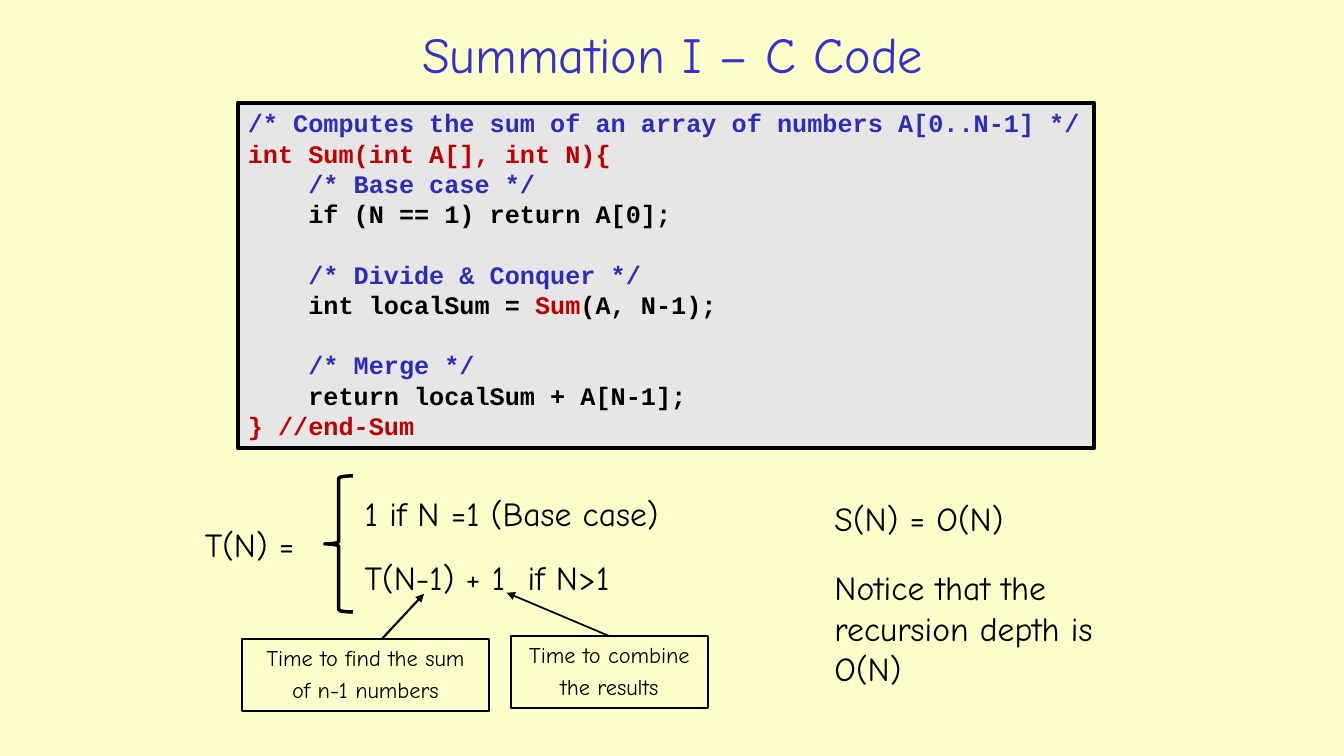
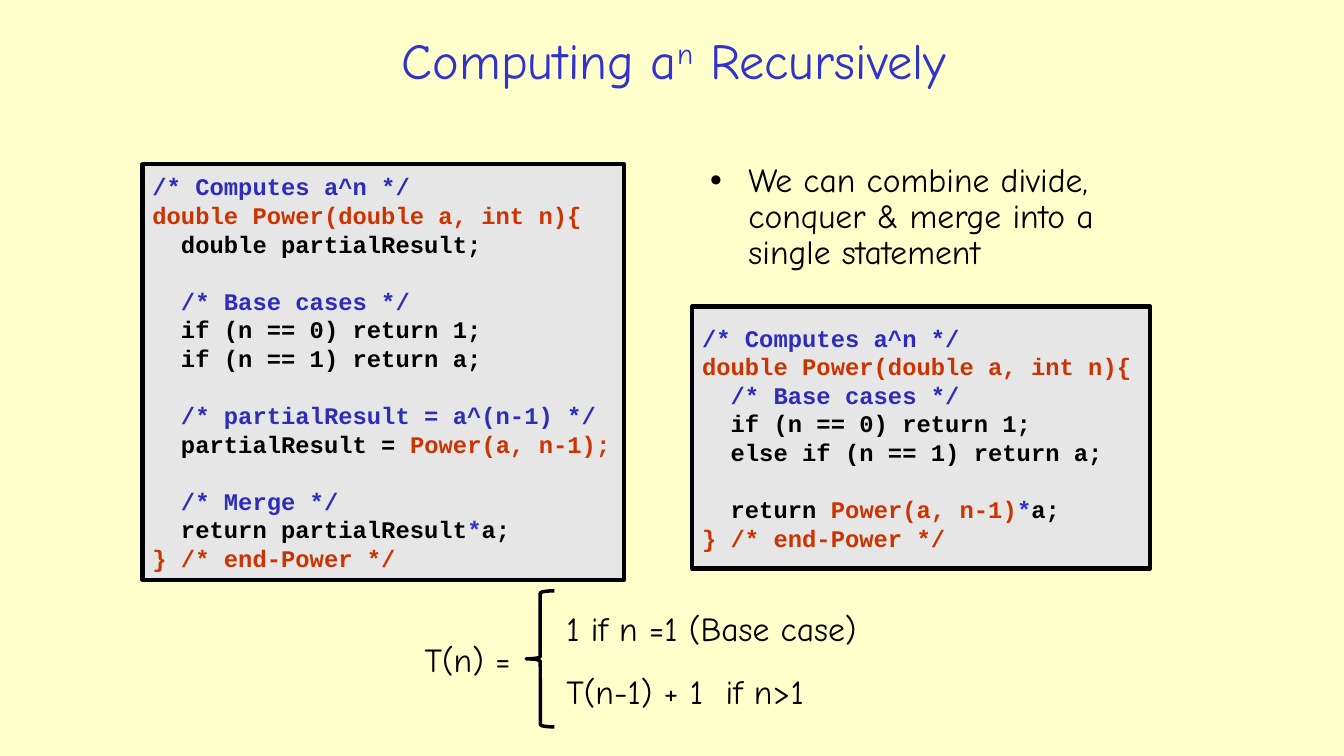
from pptx import Presentation
from pptx.dml.color import RGBColor
from pptx.enum.shapes import MSO_CONNECTOR, MSO_SHAPE
from pptx.enum.text import MSO_ANCHOR, PP_ALIGN
from pptx.oxml.ns import qn
from pptx.util import Emu, Inches, Pt
from lxml import etree

CREAM = RGBColor(0xFF, 0xFF, 0xCC)
GRAY = RGBColor(0xE6, 0xE6, 0xE6)
BLACK = RGBColor(0, 0, 0)
BLUE = RGBColor(0x33, 0x33, 0xCC)
NAVY = RGBColor(0x2D, 0x2D, 0xB9)
RED = RGBColor(0xC0, 0, 0)
RUST = RGBColor(0xCC, 0x33, 0)
BODY = "Comic Neue"
MONO = "Courier New"
LEFT, CENTER = PP_ALIGN.LEFT, PP_ALIGN.CENTER
TOP, MIDDLE = MSO_ANCHOR.TOP, MSO_ANCHOR.MIDDLE
RECT, BRACE = MSO_SHAPE.RECTANGLE, MSO_SHAPE.LEFT_BRACE
STRAIGHT = MSO_CONNECTOR.STRAIGHT
TITLE_ONLY = 5
LINE = 1.2


def write(frame, lines, size=24, font=BODY, color=BLACK, bold=False,
          align=LEFT, anchor=TOP, gap=0, pitch=None, bullet=False):
    frame.word_wrap = True
    frame.vertical_anchor = anchor
    para, space = None, 0
    for line in lines:
        if not line:
            space = size * LINE
            continue
        if para is None:
            para = frame.paragraphs[0]
        else:
            para = frame.add_paragraph()
            para.space_before = Pt(space or gap)
        space = 0
        para.alignment = align
        if pitch:
            para.line_spacing = pitch
        if bullet:
            props = para._p.get_or_add_pPr()
            props.set("marL", str(Inches(0.38)))
            props.set("indent", str(-Inches(0.38)))
            face = etree.SubElement(props, qn("a:buFont"))
            face.set("typeface", "Arial")
            etree.SubElement(props, qn("a:buChar")).set("char", "•")
        for part in [(line, color)] if isinstance(line, str) else line:
            run = para.add_run()
            run.text = part[0]
            run.font.size = Pt(size)
            run.font.name = font
            run.font.bold = bold
            run.font.color.rgb = part[1]
            if len(part) > 2:
                run._r.get_or_add_rPr().set("baseline", str(part[2] * 1000))


class Deck:
    def __init__(self):
        self.prs = Presentation()
        self.prs.slide_width = Inches(13.333)
        self.prs.slide_height = Inches(7.5)
        back = self.prs.slide_master.background.fill
        back.solid()
        back.fore_color.rgb = CREAM

    def share(self, *nums):
        sides = (self.prs.slide_width, self.prs.slide_height)
        return [Emu(round(num * sides[i % 2] / 100)) for i, num in enumerate(nums)]

    def slide(self, title, *place):
        layout = self.prs.slide_layouts[TITLE_ONLY]
        self.page = self.prs.slides.add_slide(layout)
        head = self.page.shapes.title
        head.left, head.top, head.width, head.height = self.share(*place)
        write(head.text_frame, [title], size=36, color=BLUE,
              align=CENTER, anchor=MIDDLE)

    def text(self, lines, *place, **style):
        box = self.page.shapes.add_textbox(*self.share(*place))
        write(box.text_frame, lines, **style)

    def shape(self, kind, place, width, fill=None):
        item = self.page.shapes.add_shape(kind, *self.share(*place))
        item.shadow.inherit = False
        if fill is None:
            item.fill.background()
        else:
            item.fill.solid()
            item.fill.fore_color.rgb = fill
        item.line.color.rgb = BLACK
        item.line.width = Pt(width)
        return item

    def code(self, lines, *place, size, anchor=MIDDLE):
        panel = self.shape(RECT, place, 3, GRAY)
        write(panel.text_frame, lines, size=size, font=MONO, bold=True, anchor=anchor)

    def label(self, lines, *place, width):
        box = self.shape(RECT, place, width)
        write(box.text_frame, lines, size=16, align=CENTER, gap=3.8)
        return box

    def arrow(self, *ends, width, start=None):
        link = self.page.shapes.add_connector(STRAIGHT, *self.share(*ends))
        if start is not None:
            link.begin_connect(start, 0)
        link.line.color.rgb = BLACK
        link.line.width = Pt(width)
        tip = etree.SubElement(link.line._get_or_add_ln(), qn("a:tailEnd"))
        tip.set("type", "triangle")
        etree.SubElement(link._element.spPr, qn("a:effectLst"))

    def cases(self, var, x, y, lead):
        brace = self.shape(BRACE, (x, y, 2.1, 18), 2.5)
        brace.adjustments[0] = 0.08
        brace.adjustments[1] = 0.5
        self.text([f"T({var}) ="], x + 0.65 - lead, y + 5.7, lead, 7.2)
        rows = (f"1 if {var} =1 (Base case)", f"T({var}-1) + 1  if {var}>1")
        for i, row in enumerate(rows):
            self.text([row], x + 2.25, y + 1.6 + 8.4 * i, 26.5, 7.2)


def note(text, pad=""):
    return [(pad + text, NAVY)]


def sum_slide(deck):
    deck.slide("Summation I – C Code", 13.8, 2, 72.5, 10.1)
    pad = "    "
    deck.code([
        note("/* Computes the sum of an array of numbers A[0..N-1] */"),
        [("int Sum(int A[], int N){", RED)],
        note("/* Base case */", pad),
        "    if (N == 1) return A[0];",
        "",
        note("/* Divide & Conquer */", pad),
        [("    int localSum = ", BLACK), ("Sum", RED), ("(A, N-1);", BLACK)],
        "",
        note("/* Merge */", pad),
        "    return localSum + A[N-1];",
        [("} //end-Sum", RED)],
    ], 17.7, 13.6, 63.7, 45.7, size=18, anchor=TOP)
    deck.cases("N", 24.15, 62.95, 10.3)
    merge = deck.label(["Time to combine", "the results"],
                       38, 84.15, 14.7, 9.5, width=1.25)
    deck.arrow(45.35, 84.15, 37.7, 78.4, width=1.25, start=merge)
    deck.label(["Time to find the sum", "of n-1 numbers"],
               18, 84.55, 18.4, 9.5, width=1.5)
    deck.arrow(28.4, 84.55, 31.55, 78.55, width=1.5)
    deck.text(["S(N) = O(N)"], 61.35, 65.2, 16.65, 7.2)
    deck.text(["Notice that the recursion depth is O(N)"], 61.35, 74.4, 21.9, 17.5)


def power_slide(deck):
    deck.slide([("Computing a", BLUE), ("n", BLUE, 30), (" Recursively", BLUE)],
               14.25, 3.2, 71.8, 9.3)
    pad = "  "
    head = [note("/* Computes a^n */"), [("double Power(double a, int n){", RUST)]]
    base = [note("/* Base cases */", pad), "  if (n == 0) return 1;"]
    times = [("*", BLUE), ("a;", BLACK)]
    tail = [("} /* end-Power */", RUST)]
    deck.code([
        *head,
        "  double partialResult;",
        "",
        *base,
        "  if (n == 1) return a;",
        "",
        note("/* partialResult = a^(n-1) */", pad),
        [("  partialResult = ", BLACK), ("Power(a, n-1);", RUST)],
        "",
        note("/* Merge */", pad),
        [("  return partialResult", BLACK), *times],
        tail,
    ], 10.6, 21.75, 35.85, 54.95, size=17)
    deck.code([
        *head,
        *base,
        "  else if (n == 1) return a;",
        "",
        [("  return ", BLACK), ("Power(a, n-1)", RUST), *times],
        tail,
    ], 51.5, 40.55, 34.1, 34.65, size=17)
    deck.text(["We can combine divide, conquer & merge into a single statement"],
              52.1, 20.95, 33.5, 17.3, pitch=0.9, bullet=True)
    deck.cases("n", 39.15, 78.15, 8.95)


def main():
    deck = Deck()
    sum_slide(deck)
    power_slide(deck)
    deck.prs.save("out.pptx")


if __name__ == "__main__":
    main()
